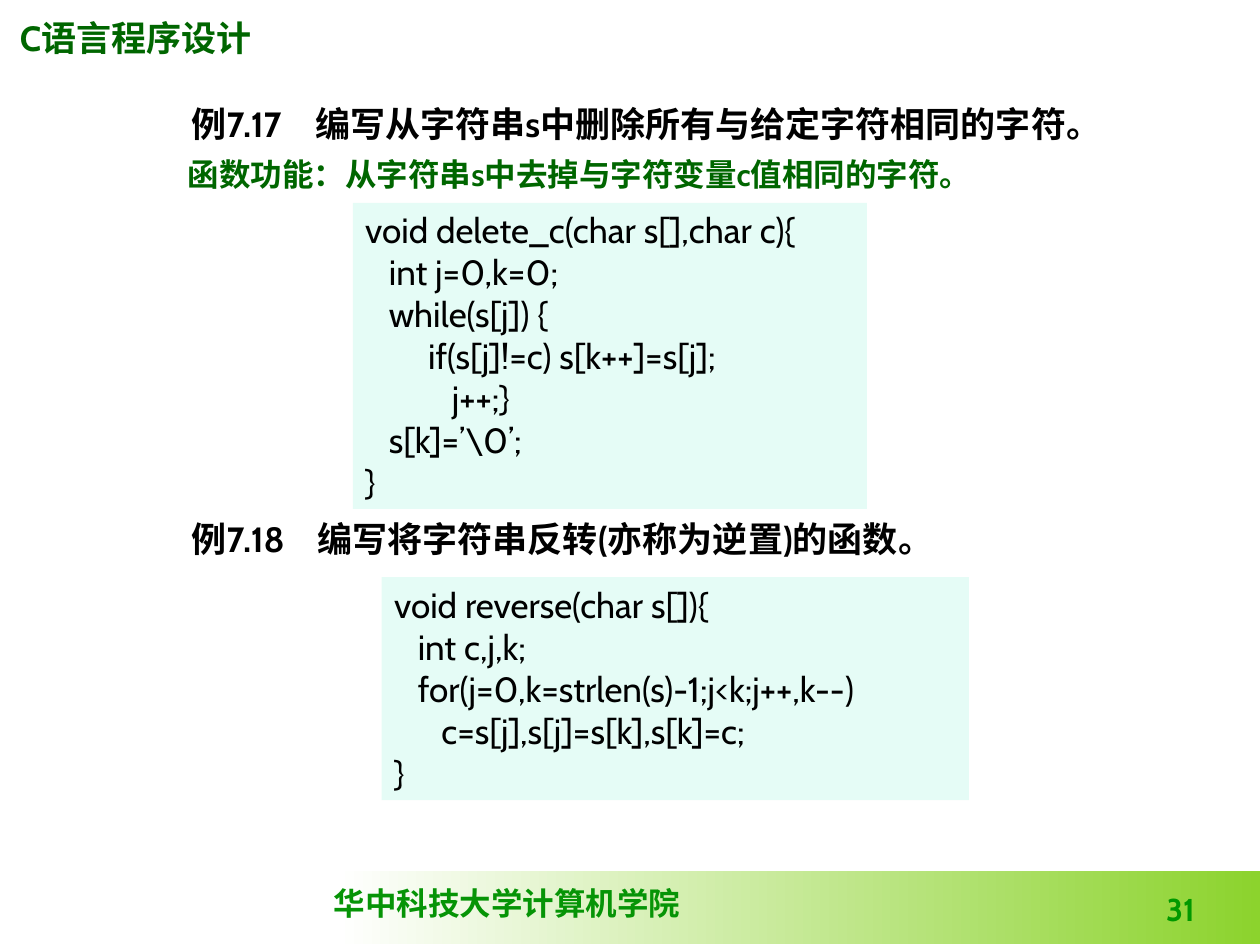
from dataclasses import dataclass

from lxml.etree import SubElement
from pptx import Presentation
from pptx.dml.color import RGBColor
from pptx.enum.shapes import MSO_SHAPE
from pptx.enum.text import MSO_ANCHOR as Anchor, MSO_AUTO_SIZE as AutoSize, PP_ALIGN as Align
from pptx.oxml.ns import qn
from pptx.util import Inches, Pt


@dataclass(frozen=True)
class Theme:
    black: str = "000000"
    dark_green: str = "006600"
    footer_green: str = "069406"
    number_green: str = "009900"
    code_fill: str = "00E4A8"
    code_opacity: int = 10
    band_start: str = "FFFFFF"
    band_end: str = "8CD32D"
    large: int = 20
    small: int = 18
    latin: str = "Cabin"
    serif: str = "Times New Roman"


DELETE_CODE = r"""void delete_c(char s[],char c){
   int j=0,k=0;
   while(s[j]) {
	if(s[j]!=c) s[k++]=s[j];
           j++;}
   s[k]=’\0’;
}"""

REVERSE_CODE = """void reverse(char s[]){
   int c,j,k;
   for(j=0,k=strlen(s)-1;j<k;j++,k--)
      c=s[j],s[j]=s[k],s[k]=c;
}"""


class SlideBuilder:
    def __init__(self, deck, theme):
        self.theme = theme
        self.page = deck.slides.add_slide(deck.slide_layouts[5])

    def place(self, box, left, top, width, height):
        box.left, box.top = Inches(left), Inches(top)
        box.width, box.height = Inches(width), Inches(height)

    def style(self, span, size, color, bold=True, font=None):
        span.font.size = Pt(size)
        span.font.name = font or self.theme.latin
        span.font.bold = bold
        span.font.color.rgb = RGBColor.from_string(color)

    def fill_text(self, box, text, size, color, bold=True, font=None,
                  align=Align.LEFT, anchor=Anchor.TOP, wrap=True, inset=0.1):
        frame = box.text_frame
        frame.text = text
        frame.word_wrap = wrap
        frame.auto_size = AutoSize.NONE
        frame.vertical_anchor = anchor
        frame.margin_left = Inches(inset)
        for para in frame.paragraphs:
            para.alignment = align
            for span in para.runs:
                self.style(span, size, color, bold, font)

    def text(self, place, text, size, color, **options):
        box = self.page.shapes.add_textbox(*map(Inches, place))
        self.fill_text(box, text, size, color, **options)
        return box

    def heading(self, top, number, wording, gap, box=None):
        box = box or self.page.shapes.add_textbox(0, 0, 0, 0)
        self.place(box, 0.98, top, 8.19, 0.43)
        self.fill_text(box, f"{number}\t{wording}", self.theme.large,
                       self.theme.black, inset=0.54)
        properties = box.text_frame.paragraphs[0]._p.get_or_add_pPr()
        tabs = SubElement(properties, qn("a:tabLst"))
        SubElement(tabs, qn("a:tab"), pos=str(Inches(gap)), algn="l")

    def title(self, top, number, wording, gap):
        self.heading(top, number, wording, gap, self.page.shapes.title)

    def panel(self, place):
        shape = self.page.shapes.add_shape(MSO_SHAPE.RECTANGLE, *map(Inches, place))
        shape.shadow.inherit = False
        shape.line.fill.background()
        return shape

    def band(self, place):
        fill = self.panel(place).fill
        fill.gradient()
        fill.gradient_angle = 0
        colors = (self.theme.band_start, self.theme.band_end)
        for stop, color in zip(fill.gradient_stops, colors):
            stop.color.rgb = RGBColor.from_string(color)

    def code(self, place, source):
        shape = self.panel(place)
        shape.fill.solid()
        shape.fill.fore_color.rgb = RGBColor.from_string(self.theme.code_fill)
        color = shape._element.spPr.find(qn("a:solidFill")).find(qn("a:srgbClr"))
        SubElement(color, qn("a:alpha"), val=str(self.theme.code_opacity * 1000))
        self.fill_text(shape, source, self.theme.large, self.theme.black,
                       bold=False, anchor=Anchor.MIDDLE, wrap=False)

    def course(self, place, language, wording):
        box = self.text(place, language, self.theme.large, self.theme.dark_green)
        span = box.text_frame.paragraphs[0].add_run()
        span.text = wording
        self.style(span, self.theme.large, self.theme.dark_green, font=self.theme.serif)


def main():
    deck = Presentation()
    deck.slide_width, deck.slide_height = Inches(10), Inches(7.5)
    theme = Theme()
    slide = SlideBuilder(deck, theme)

    slide.band((2.67, 6.91, 7.33, 0.58))
    slide.text((2.55, 6.97, 2.95, 0.4), "华中科技大学计算机学院", theme.small,
               theme.footer_green, font=theme.serif, wrap=False)
    slide.course((0.06, 0.08, 2.05, 0.43), "C", "语言程序设计")
    slide.text((7.5, 6.95, 2.08, 0.46), "31", theme.small, theme.number_green,
               align=Align.RIGHT, anchor=Anchor.BOTTOM)

    slide.title(0.76, "例7.17", "编写从字符串s中删除所有与给定字符相同的字符。", 0.98)
    slide.text((0.99, 1.18, 8.42, 0.4), "函数功能：从字符串s中去掉与字符变量c值相同的字符。",
               theme.small, theme.dark_green, anchor=Anchor.MIDDLE, inset=0.5)
    slide.code((2.8, 1.61, 4.08, 2.43), DELETE_CODE)
    slide.heading(4.06, "例7.18", "编写将字符串反转(亦称为逆置)的函数。", 1)
    slide.code((3.03, 4.58, 4.66, 1.77), REVERSE_CODE)

    deck.save("out.pptx")


if __name__ == "__main__":
    main()
